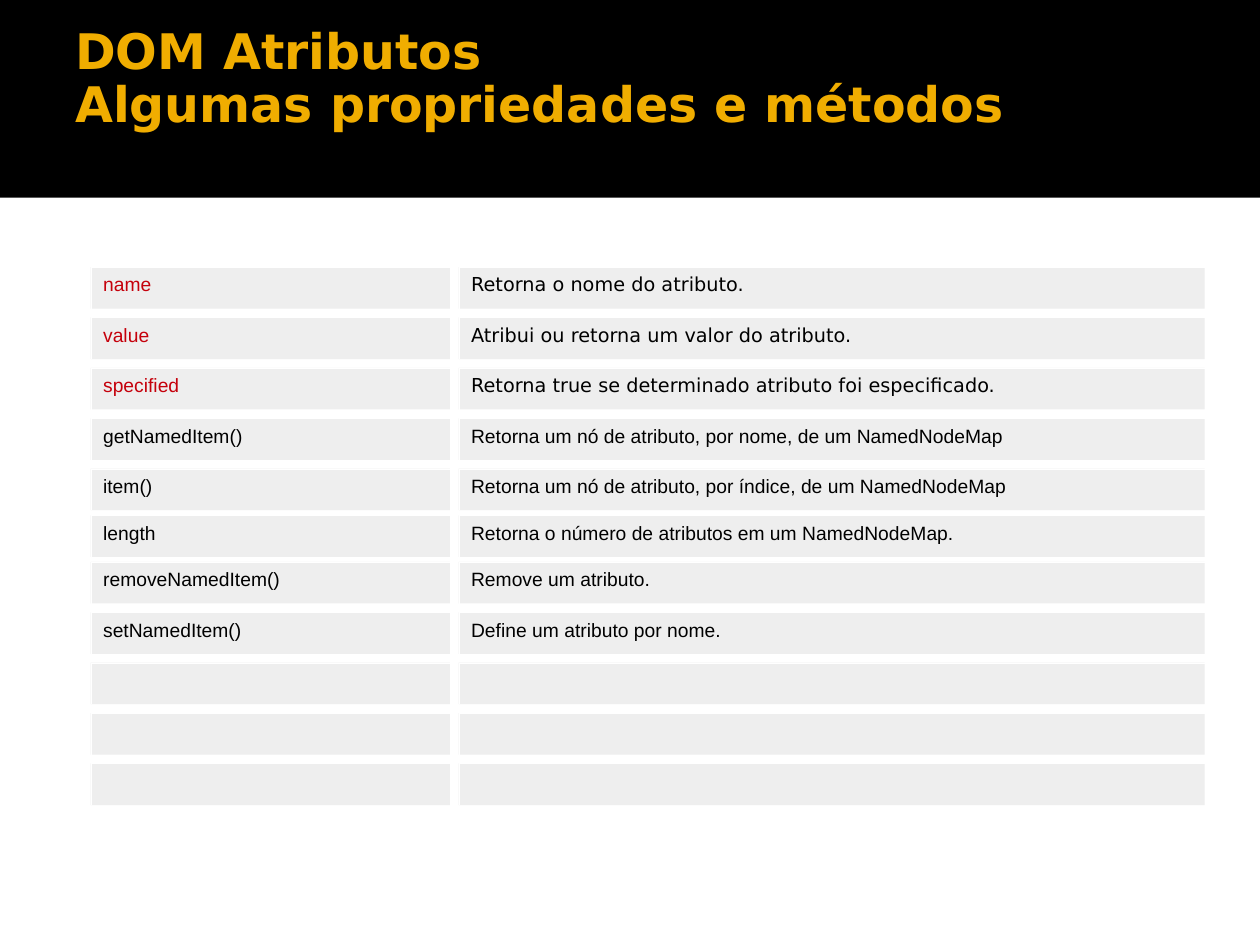
from itertools import accumulate

from lxml import etree
from pptx import Presentation
from pptx.dml.color import RGBColor
from pptx.enum.shapes import MSO_CONNECTOR as Connector
from pptx.enum.shapes import MSO_SHAPE as Shape
from pptx.enum.text import MSO_ANCHOR as Anchor
from pptx.enum.text import PP_ALIGN as Align
from pptx.oxml.ns import qn
from pptx.util import Inches, Pt

COLORS = {
    "band": "000000",
    "title": "F0AD00",
    "cell": "EEEEEE",
    "property": "C5000B",
    "text": "000000",
    "rule": "FFFFFF",
}
SANS, ARIAL = "DejaVu Sans", "Arial"

# Member, its colour, description, its font, its line spacing
ROWS = [
    ("name", "property", "Retorna o nome do atributo.", SANS, 0.94),
    ("value", "property", "Atribui ou retorna um valor do atributo.", SANS, 0.94),
    ("specified", "property",
     "Retorna true se determinado atributo foi especificado.", SANS, 0.87),
    ("getNamedItem()", "text",
     "Retorna um nó de atributo, por nome, de um NamedNodeMap", ARIAL, 0.87),
    ("item()", "text",
     "Retorna um nó de atributo, por índice, de um NamedNodeMap", ARIAL, 0.87),
    ("length", "text",
     "Retorna o número de atributos em um NamedNodeMap.", ARIAL, 0.87),
    ("removeNamedItem()", "text", "Remove um atributo.", ARIAL, 0.87),
    ("setNamedItem()", "text", "Define um atributo por nome.", ARIAL, 0.87),
] + [("", "text", "", ARIAL, 0.87)] * 3

# Grid: the rows of item() and length are slightly closer to the next one
PITCHES = [0.4] * 4 + [0.37] * 2 + [0.4] * 5
ROW_EDGES = list(accumulate(PITCHES, initial=2.12))
ROW_HEIGHT = 0.33
COLUMNS = [(0.72, 2.85), (3.64, 5.92)]
RULE_EDGES = [0.72, 3.64, 9.63]


def rgb(name):
    return RGBColor.from_string(COLORS[name])


def apply(target, values):
    for name, value in values.items():
        setattr(target, name, value)


def add_rectangle(shapes, box, color):
    shape = shapes.add_shape(Shape.RECTANGLE, *map(Inches, box))
    shape.shadow.inherit = False
    shape.fill.solid()
    shape.fill.fore_color.rgb = rgb(color)
    shape.line.fill.background()
    return shape


def write(shape, text, color, font, size, spacing, inset_top=0.05, bold=False):
    frame = shape.text_frame
    apply(frame, {
        "word_wrap": True,
        "vertical_anchor": Anchor.TOP,
        "margin_left": Inches(0.1),
        "margin_right": Inches(0.1),
        "margin_top": Inches(inset_top),
        "margin_bottom": Inches(0.05),
    })
    paragraph = frame.paragraphs[0]
    paragraph.text = text
    apply(paragraph, {"alignment": Align.LEFT, "line_spacing": spacing})
    for run in paragraph.runs:
        apply(run.font, {"name": font, "size": Pt(size), "bold": bold})
        run.font.color.rgb = rgb(color)


def add_rule(shapes, start, end):
    rule = shapes.add_connector(Connector.STRAIGHT, *map(Inches, start + end))
    rule.line.color.rgb = rgb("rule")
    rule.line.width = Pt(0.06)
    etree.SubElement(rule._element.spPr, qn("a:effectLst"))


def add_header(slide):
    add_rectangle(slide.shapes, (0, 0, 10, 1.57), "band")
    title = slide.shapes.add_textbox(*map(Inches, (0.5, 0.17, 9, 1.37)))
    write(title, "DOM Atributos\vAlgumas propriedades e métodos",
          "title", SANS, 28, 0.9, bold=True)


def add_cells(shapes):
    for top, row in zip(ROW_EDGES, ROWS):
        member, color, description, font, spacing = row
        inset = 0.06 if spacing > 0.9 else 0.07
        cells = [(member, color, ARIAL, 11, 0.93, 0.06),
                 (description, "text", font, 11, spacing, inset)]
        for (left, width), cell in zip(COLUMNS, cells):
            shape = add_rectangle(shapes, (left, top, width, ROW_HEIGHT), "cell")
            if cell[0]:
                write(shape, *cell)


def add_rules(shapes):
    for y in ROW_EDGES:
        for left, width in COLUMNS:
            add_rule(shapes, (left, y), (left + width, y))
    for x in RULE_EDGES:
        for top in ROW_EDGES[:-1]:
            add_rule(shapes, (x, top), (x, top + ROW_HEIGHT))


def main():
    presentation = Presentation()
    apply(presentation, {"slide_width": Inches(10), "slide_height": Inches(7.5)})
    slide = presentation.slides.add_slide(presentation.slide_layouts[6])

    # Title band
    add_header(slide)

    # Grid of members and descriptions
    grid = slide.shapes.add_group_shape()
    add_cells(grid.shapes)
    add_rules(grid.shapes)

    presentation.save("out.pptx")


if __name__ == "__main__":
    main()
